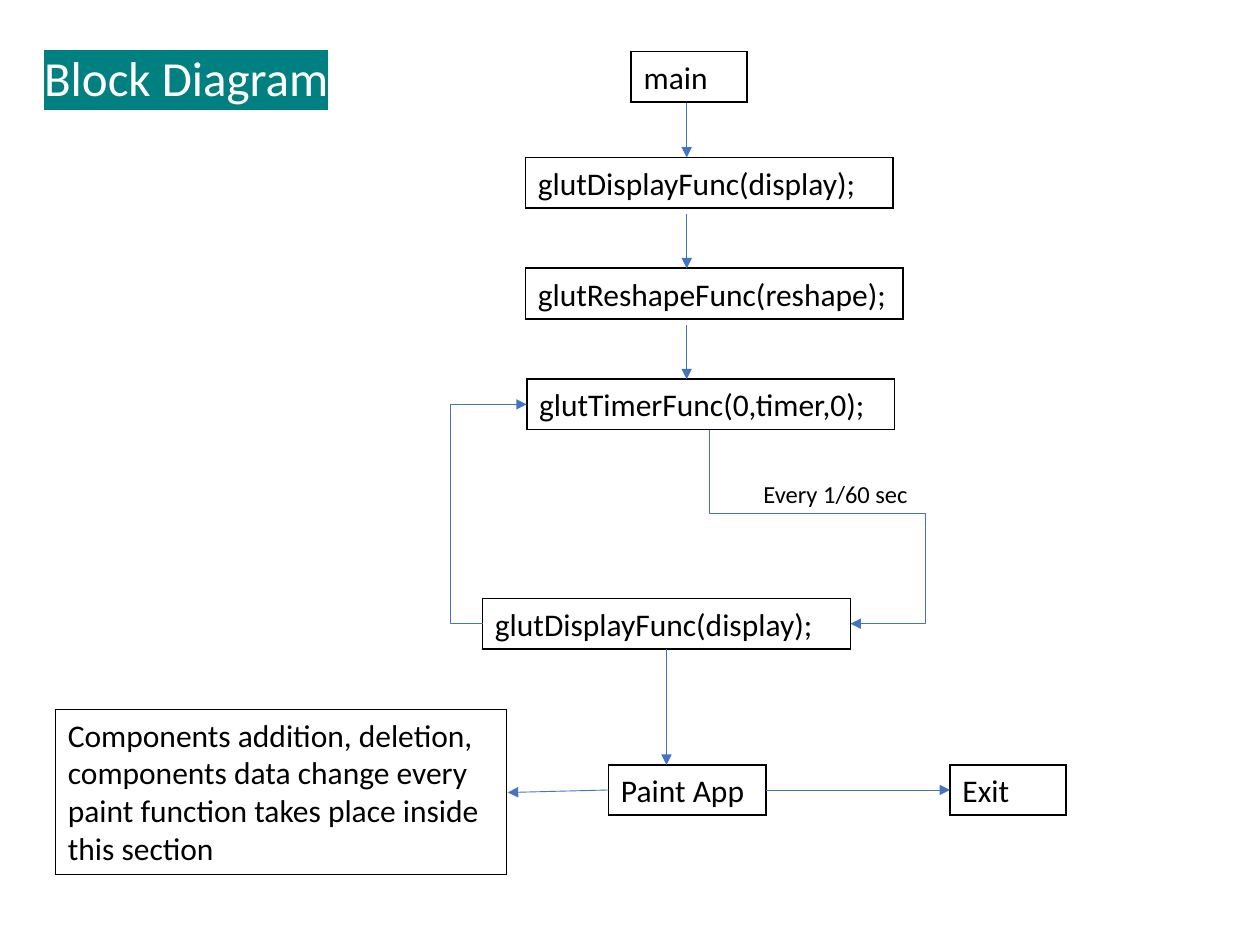
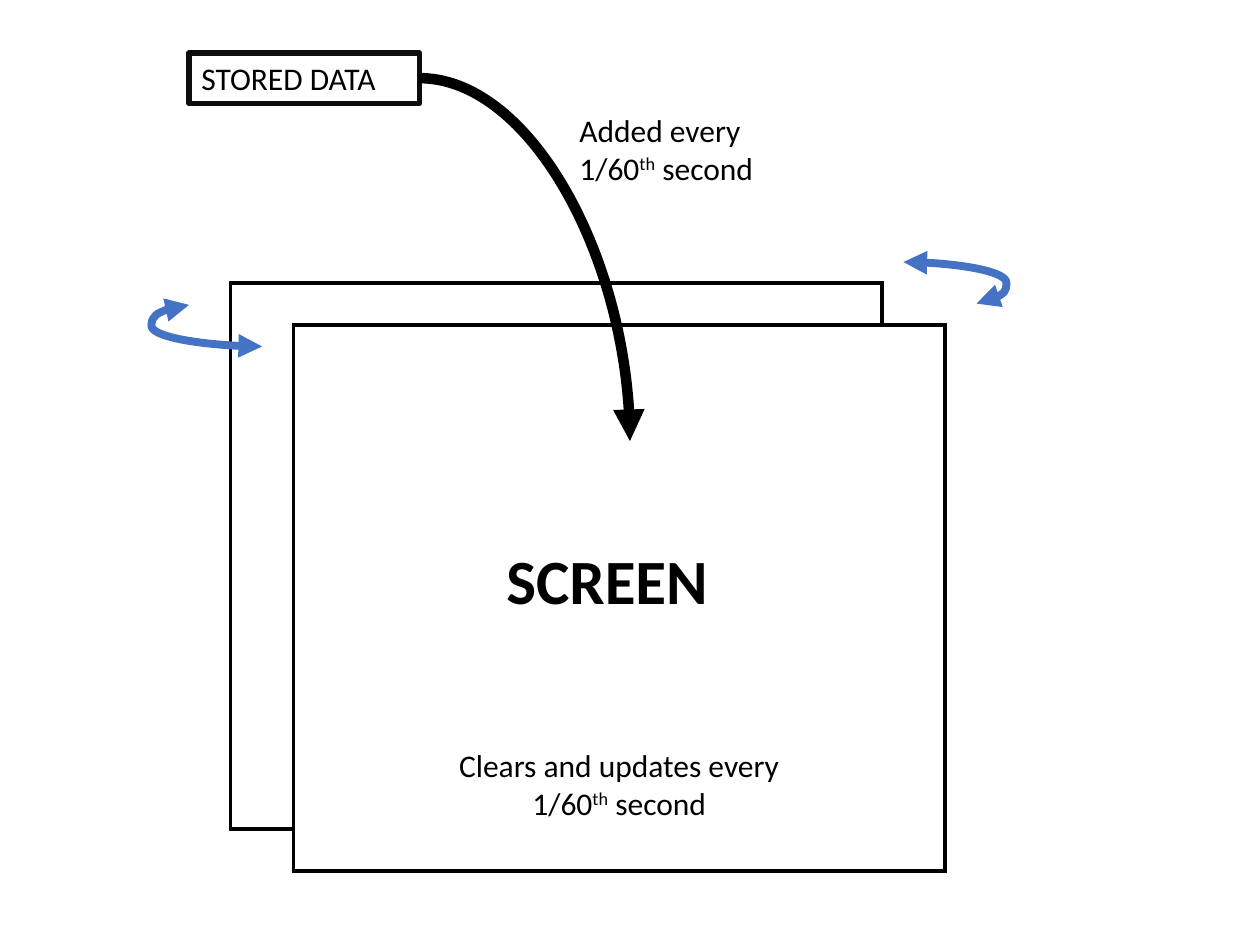
from typing import NamedTuple

from lxml import etree
from pptx import Presentation
from pptx import util as u
from pptx.dml.color import RGBColor
from pptx.enum import shapes, text
from pptx.oxml.ns import qn

PX = 9144  # EMU per px, 100 px to the inch
FONT = "Calibri"
BLACK, WHITE, BLUE, TEAL, INK = "000000", "FFFFFF", "4472C4", "008080", "0D0D0D"
LEFT, MID = text.PP_ALIGN.LEFT, text.PP_ALIGN.CENTER
BENT, CURVE = shapes.MSO_CONNECTOR.ELBOW, shapes.MSO_CONNECTOR.CURVE


class Box(NamedTuple):
    """A framed block; empty fill means see-through."""
    x: int
    y: int
    w: int
    h: int
    words: str = ""
    fill: str = WHITE
    line: str = BLACK
    thick: float = 1
    join: str = "miter"


class Note(NamedTuple):
    """Free text; bars set off a raised part."""
    x: int
    y: int
    w: int
    h: int
    words: str
    size: int = 18
    bold: bool = False
    align: text.PP_ALIGN = LEFT


class Link(NamedTuple):
    """An arrow; preset, bends and turn describe its route."""
    x1: int
    y1: int
    x2: int
    y2: int
    kind: shapes.MSO_CONNECTOR = shapes.MSO_CONNECTOR.STRAIGHT
    preset: str = "line"
    bends: tuple[int, ...] = ()
    turn: int = 0
    color: str = BLUE
    thick: float = 0.5
    both: bool = False


def px(*nums: int) -> list[u.Emu]:
    return [u.Emu(n * PX) for n in nums]


def rgb(code: str) -> RGBColor:
    return RGBColor.from_string(code)


def sub(node, tag: str, **attrs: str):
    return etree.SubElement(node, qn(tag), attrs)


def write(frame, words: str, size: int = 18, color: str = BLACK,
          bold: bool = False, align: text.PP_ALIGN = LEFT) -> None:
    frame.word_wrap = True
    frame.auto_size = text.MSO_AUTO_SIZE.SHAPE_TO_FIT_TEXT
    frame.vertical_anchor = text.MSO_ANCHOR.TOP
    first, *rest = words.split("|")
    frame.text = first
    para = frame.paragraphs[0]
    para.alignment = align
    for part in rest:
        para.add_run().text = part
    for i, run in enumerate(para.runs):
        font = run.font
        font.name, font.size, font.bold = FONT, u.Pt(size), bold
        font.color.rgb = rgb(color)
        if i % 2:
            run.font._element.set("baseline", "30000")


def draw_box(slide, box: Box) -> None:
    shape = slide.shapes.add_shape(
        shapes.MSO_SHAPE.RECTANGLE, *px(box.x, box.y, box.w, box.h))
    shape.shadow.inherit = False
    if box.fill:
        shape.fill.solid()
        shape.fill.fore_color.rgb = rgb(box.fill)
    else:
        shape.fill.background()
    shape.line.color.rgb = rgb(box.line)
    shape.line.width = u.Pt(box.thick)
    sub(shape.element.spPr.find(qn("a:ln")), "a:" + box.join)
    if box.words:
        write(shape.text_frame, box.words)


def draw_note(slide, note: Note) -> None:
    area = slide.shapes.add_textbox(*px(note.x, note.y, note.w, note.h))
    write(area.text_frame, note.words, note.size, BLACK, note.bold, note.align)


def draw_link(slide, link: Link) -> None:
    wire = slide.shapes.add_connector(
        link.kind, *px(link.x1, link.y1, link.x2, link.y2))
    wire.line.color.rgb = rgb(link.color)
    wire.line.width = u.Pt(link.thick)
    props = wire.element.spPr
    # Route
    geom = props.find(qn("a:prstGeom"))
    geom.set("prst", link.preset)
    for old in list(geom):
        geom.remove(old)
    guides = sub(geom, "a:avLst")
    for i, bend in enumerate(link.bends, 1):
        name = f"adj{i}" if len(link.bends) > 1 or link.preset[-1] == "3" else "adj"
        sub(guides, "a:gd", name=name, fmla=f"val {bend}")
    if link.turn:
        frame = props.find(qn("a:xfrm"))
        frame.set("rot", str(link.turn * 60000))
        frame.set("flipH", "1")
    # Arrowheads, no shadow
    line = props.find(qn("a:ln"))
    if link.both:
        sub(line, "a:headEnd", type="triangle")
    sub(line, "a:tailEnd", type="triangle")
    sub(props, "a:effectLst")


def draw_title(slide, words: str) -> None:
    title = slide.shapes.title
    title.left, title.top, title.width, title.height = px(25, 33, 625, 57)
    write(title.text_frame, words, 28, WHITE)
    # Teal marker behind the letters
    for run in title.text_frame.paragraphs[0].runs:
        props = run.font._element
        mark = sub(props, "a:highlight")
        sub(mark, "a:srgbClr", val=TEAL)
        props.find(qn("a:solidFill")).addnext(mark)


DRAW = {Box: draw_box, Note: draw_note, Link: draw_link}


def draw(slide, parts: list) -> None:
    for part in parts:
        DRAW[type(part)](slide, part)


def flow() -> list:
    top, step, tall, axis = 125, 88, 40, 545
    calls = [("glutDisplayFunc(display);", 417, 292),
             ("glutReshapeFunc(reshape);", 417, 300),
             ("glutTimerFunc(0,timer,0);", 418, 292)]
    parts: list = [Box(501, 41, 92, tall, "main")]
    # Start-up calls, each with an arrow coming in
    for i, (words, x, wide) in enumerate(calls):
        y = top + i * step
        parts += [Box(x, y, wide, tall, words), Link(axis, y - 43, axis, y)]
    # Timer loop
    parts += [
        Box(383, 475, 292, tall, calls[0][0]),
        Link(542, 362, 696, 474, BENT, "bentConnector4", (43400, 153000), 270),
        Link(383, 495, 418, 321, BENT, "bentConnector3", (-73100,)),
        Note(596, 375, 192, 34, "Every 1/60 sec", 14),
    ]
    # Paint stage
    parts += [
        Box(754, 607, 92, tall, "Exit"),
        Box(483, 607, 125, tall, "Paint App"),
        Box(44, 563, 358, 131, "Components addition, deletion, components data "
            "change every paint function takes place inside this section",
            fill="", thick=0.75),
        Link(529, 515, 529, 607),
        Link(608, 627, 754, 627),
        Link(483, 627, 403, 629),
    ]
    return parts


def screen() -> list:
    wide, tall = 517, 433
    parts: list = [
        Box(183, 225, wide, tall, fill="", thick=2.25),
        Box(233, 258, wide, tall, thick=2.25),
        Note(350, 587, 283, 71, "Clears and updates every 1/60|th| second",
             align=MID),
        Note(392, 425, 358, 71, "SCREEN", 36, True),
    ]
    # Swap arrows at both sides
    for x, y, bend in [(717, 208, 141000), (150, 242, -51500)]:
        parts.append(Link(x, y, x + 58, y + 33, CURVE, "curvedConnector3",
                          (bend,), thick=4.5, both=True))
    # Data feeding the screen
    parts += [
        Box(150, 42, 183, 40, "STORED DATA", "", INK, 3, "round"),
        Link(333, 62, 500, 350, CURVE, "curvedConnector2", color=BLACK, thick=6),
        Note(450, 83, 211, 71, "Added every 1/60|th| second"),
    ]
    return parts


def main() -> None:
    deck = Presentation()
    deck.slide_width, deck.slide_height = px(1000, 750)
    titled, blank = deck.slide_layouts[5], deck.slide_layouts[6]
    first = deck.slides.add_slide(titled)
    draw_title(first, "Block Diagram")
    draw(first, flow())
    draw(deck.slides.add_slide(blank), screen())
    deck.save("out.pptx")


if __name__ == "__main__":
    main()
